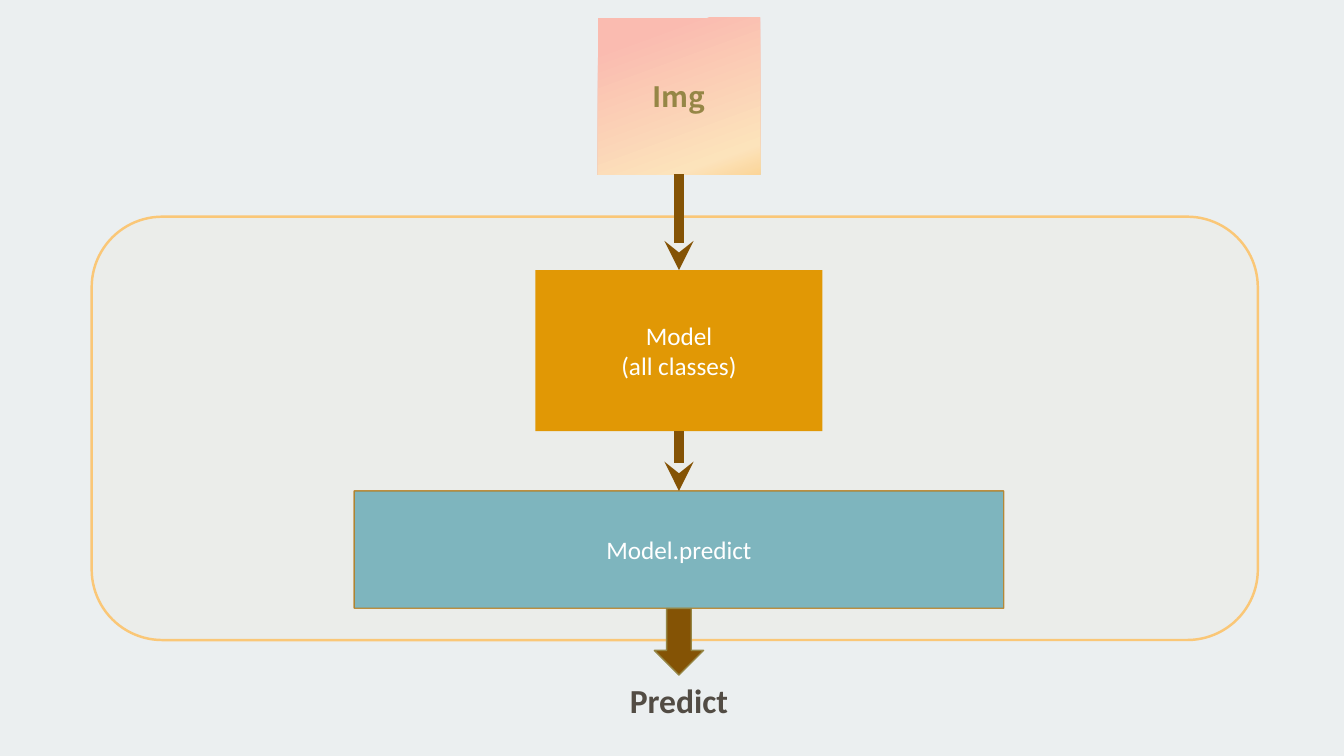
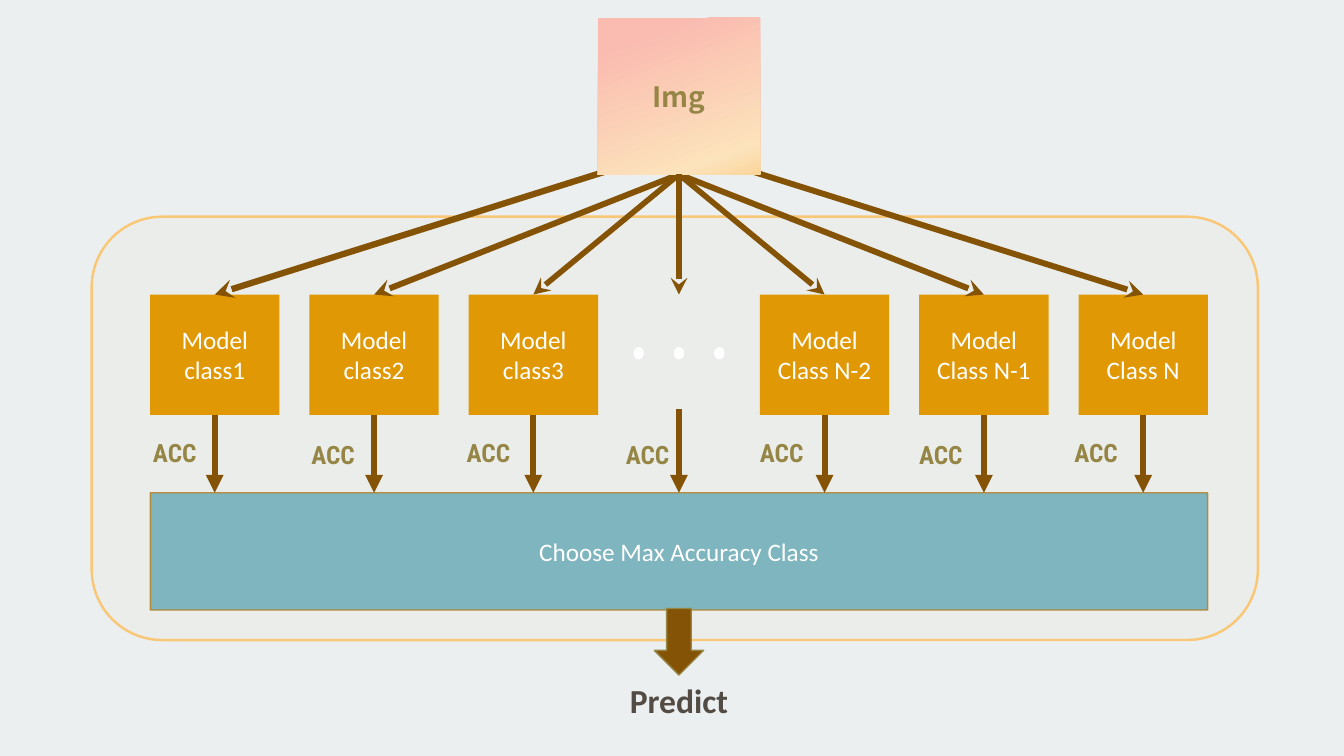
"""Build two diagrams comparing a single classifier with one model per class."""
import copy
from dataclasses import dataclass
from typing import Optional

import lxml.etree
import pptx
import pptx.dml.color
import pptx.enum.dml
import pptx.enum.shapes
import pptx.enum.text
import pptx.oxml.ns
import pptx.util

Pt = pptx.util.Pt
qn = pptx.oxml.ns.qn
MSO = pptx.enum.shapes.MSO_SHAPE
ALIGN = pptx.enum.text.PP_ALIGN
TOP, BOTTOM = 0, 2


@dataclass(frozen=True)
class Theme:
    background: str = "EBEFF0"
    panel: str = "EBEDE6"
    panel_line: str = "FAC777"
    model: str = "E19805"
    result: str = "178095"
    result_line: str = "B67815"
    arrow: str = "845305"
    olive: str = "958646"
    dark: str = "524C44"
    white: str = "FFFFFF"
    gradient: tuple = ((0.15, "FABBB0"), (0.86, "FCE3BB"), (1.0, "FBD599"))
    gradient_angle: int = 290
    body_font: str = "Calibri"
    image_font: str = "Noto Sans CJK SC"
    label_font: str = "Roboto Condensed"
    body_size: int = 18
    image_size: int = 20
    predict_size: int = 24


T = Theme()
BODY = {"name": T.body_font, "size": Pt(T.body_size), "color": T.white}
IMAGE = {"name": T.image_font, "size": Pt(T.image_size), "bold": True, "color": T.olive}
LABEL = {"name": T.label_font, "size": Pt(T.body_size), "bold": True, "color": T.olive}
PREDICT = {"name": T.body_font, "size": Pt(T.predict_size), "bold": True, "color": T.dark}


@dataclass(frozen=True)
class Box:
    left: float
    top: float
    width: float
    height: float

    @property
    def emu(self) -> tuple:
        return tuple(Pt(v) for v in (self.left, self.top, self.width, self.height))


@dataclass(frozen=True)
class Look:
    fill: str
    alpha: Optional[int] = None
    line: Optional[str] = None
    line_width: float = 1
    line_alpha: Optional[int] = None


@dataclass(frozen=True)
class Column:
    center: float
    label_left: float
    name: Optional[str] = None
    fan_width: float = 4.25


CENTER = 485
MIDDLE_GAP, PITCH = 104, 113.8
MODEL_TOP, MODEL_WIDTH, MODEL_HEIGHT = 210.4, 92.4, 86
RESULT_TOP, RESULT_HEIGHT = 352, 83.8
IMAGE_BOX = Box(CENTER - 58, 12.6, 116, 112)
PANEL_LOOK = Look(T.panel, 50, T.panel_line, 1.75)
RESULT_LOOK = Look(T.result, 51, T.result_line, 1, 80)
MODEL_LOOK = Look(T.model)
DOT_LOOK = Look(T.white, line=T.white)
PREDICT_ARROW_LOOK = Look(T.arrow, line=T.olive)

COLUMNS = (
    Column(CENTER - MIDDLE_GAP - 2 * PITCH, 102.2, "class1", 4.5),
    Column(CENTER - MIDDLE_GAP - PITCH, 215.3, "class2"),
    Column(CENTER - MIDDLE_GAP, 326.2, "class3", 4),
    Column(CENTER, 439.9, None, 4),
    Column(CENTER + MIDDLE_GAP, 535.7, "Class N-2", 4),
    Column(CENTER + MIDDLE_GAP + PITCH, 649.4, "Class N-1"),
    Column(CENTER + MIDDLE_GAP + 2 * PITCH, 760.3, "Class N"),
)


def rgb(value: str) -> pptx.dml.color.RGBColor:
    return pptx.dml.color.RGBColor.from_string(value)


def set_alpha(fill_parent, percent: Optional[int]) -> None:
    if percent is not None:
        clr = fill_parent.find(qn("a:solidFill")).find(qn("a:srgbClr"))
        lxml.etree.SubElement(clr, qn("a:alpha")).set("val", str(percent * 1000))


def write(sp, lines: tuple, style: dict, align=ALIGN.CENTER) -> None:
    tf = sp.text_frame
    tf.word_wrap = True
    for i, line in enumerate(lines):
        p = tf.paragraphs[0] if i == 0 else tf.add_paragraph()
        p.alignment = align
        r = p.add_run()
        r.text = line
        for key, value in style.items():
            if key == "color":
                r.font.color.rgb = rgb(value)
            else:
                setattr(r.font, key, value)


def add_shape(s, kind, box: Box, look: Optional[Look] = None, lines: tuple = (), style: dict = BODY):
    sp = s.shapes.add_shape(kind, *box.emu)
    sp.shadow.inherit = False
    sp.line.fill.background()
    if look:
        sp.fill.solid()
        sp.fill.fore_color.rgb = rgb(look.fill)
        set_alpha(sp.element.spPr, look.alpha)
        if look.line:
            sp.line.color.rgb = rgb(look.line)
            sp.line.width = Pt(look.line_width)
            set_alpha(sp.element.spPr.find(qn("a:ln")), look.line_alpha)
    if lines:
        sp.text_frame.vertical_anchor = pptx.enum.text.MSO_ANCHOR.MIDDLE
        write(sp, lines, style)
    return sp


def add_text(s, box: Box, text: str, style: dict, align) -> None:
    sp = s.shapes.add_textbox(*box.emu)
    sp.text_frame.auto_size = pptx.enum.text.MSO_AUTO_SIZE.SHAPE_TO_FIT_TEXT
    write(sp, (text,), style, align)


def add_arrow(s, start: tuple, end: tuple, width: float, head: str, source=None, target=None):
    points = (Pt(v) for v in start + end)
    c = s.shapes.add_connector(pptx.enum.shapes.MSO_CONNECTOR.STRAIGHT, *points)
    c.line.color.rgb = rgb(T.arrow)
    c.line.width = Pt(width)
    sppr = c.element.spPr
    lxml.etree.SubElement(sppr.find(qn("a:ln")), qn("a:tailEnd")).set("type", head)
    lxml.etree.SubElement(sppr, qn("a:effectLst"))
    if source is not None:
        c.begin_connect(source, BOTTOM)
    if target is not None:
        c.end_connect(target, TOP)
    return c


def add_image_box(s):
    sp = add_shape(s, MSO.RECTANGLE, IMAGE_BOX, lines=("Img",), style=IMAGE)
    sp.fill.gradient()
    sp.fill.gradient_angle = T.gradient_angle
    stops = sp.element.spPr.find(qn("a:gradFill")).find(qn("a:gsLst"))
    stops.append(copy.deepcopy(stops[-1]))
    for stop, (position, color) in zip(sp.fill.gradient_stops, T.gradient):
        stop.position = position
        stop.color.rgb = rgb(color)
    return sp


def add_panel_slide(prs):
    s = prs.slides.add_slide(prs.slide_layouts[6])
    add_shape(s, MSO.ROUNDED_RECTANGLE, Box(65.5, 154.8, 833, 302.4), PANEL_LOOK)
    return s


def add_result(s, width: float, top: float, text: str):
    box = Box(CENTER - width / 2, top, width, RESULT_HEIGHT)
    return add_shape(s, MSO.RECTANGLE, box, RESULT_LOOK, (text,))


def add_predict(s) -> None:
    add_shape(s, MSO.DOWN_ARROW, Box(CENTER - 17.6, 434.7, 35.2, 47.5), PREDICT_ARROW_LOOK)
    add_text(s, Box(CENTER - 47, 482.4, 94, 36), "Predict", PREDICT, ALIGN.CENTER)


def build_single_model(prs) -> None:
    s = add_panel_slide(prs)
    image = add_image_box(s)
    result = add_result(s, 464, 350.7, "Model.predict")
    add_predict(s)
    model = add_shape(s, MSO.RECTANGLE, Box(CENTER - 102.5, 193, 205, 115),
                      MODEL_LOOK, ("Model", "(all classes)"))
    for source, target in ((image, model), (model, result)):
        add_arrow(s, (CENTER, 0), (CENTER, 0), 7, "stealth", source, target)


def build_model_per_class(prs) -> None:
    s = add_panel_slide(prs)
    models = {}
    for col in COLUMNS:
        if col.name:
            box = Box(col.center - MODEL_WIDTH / 2, MODEL_TOP, MODEL_WIDTH, MODEL_HEIGHT)
            models[col] = add_shape(s, MSO.RECTANGLE, box, MODEL_LOOK, ("Model", col.name))
    for i in (-1, 0, 1):
        add_shape(s, MSO.OVAL, Box(CENTER + 28.8 * i - 3.25, 248.4, 6.5, 7.9), DOT_LOOK)

    outer = (COLUMNS[0], COLUMNS[-1])
    fan = {col: add_arrow(s, (CENTER, 106), (col.center, MODEL_TOP), col.fan_width,
                          "stealth", target=model) for col, model in models.items()}
    image = add_image_box(s)
    for col, arrow in fan.items():
        if col not in outer:
            arrow.begin_connect(image, BOTTOM)
    add_arrow(s, (CENTER, 0), (CENTER, MODEL_TOP), 4, "stealth", source=image)

    result = add_result(s, 755.2, RESULT_TOP, "Choose Max Accuracy Class")
    for i, col in enumerate(COLUMNS):
        add_arrow(s, (col.center, 292.5), (col.center, RESULT_TOP), 4.25, "triangle",
                  models.get(col), None if col.name else result)
        add_text(s, Box(col.label_left, 308.9 + 1.4 * (i % 2), 49, 29), "ACC", LABEL, ALIGN.LEFT)
    add_predict(s)


def main() -> None:
    prs = pptx.Presentation()
    prs.slide_width, prs.slide_height = Pt(960), Pt(540)
    fill = prs.slide_master.background.fill
    fill.solid()
    fill.fore_color.rgb = rgb(T.background)
    build_single_model(prs)
    build_model_per_class(prs)
    prs.save("out.pptx")


if __name__ == "__main__":
    main()
